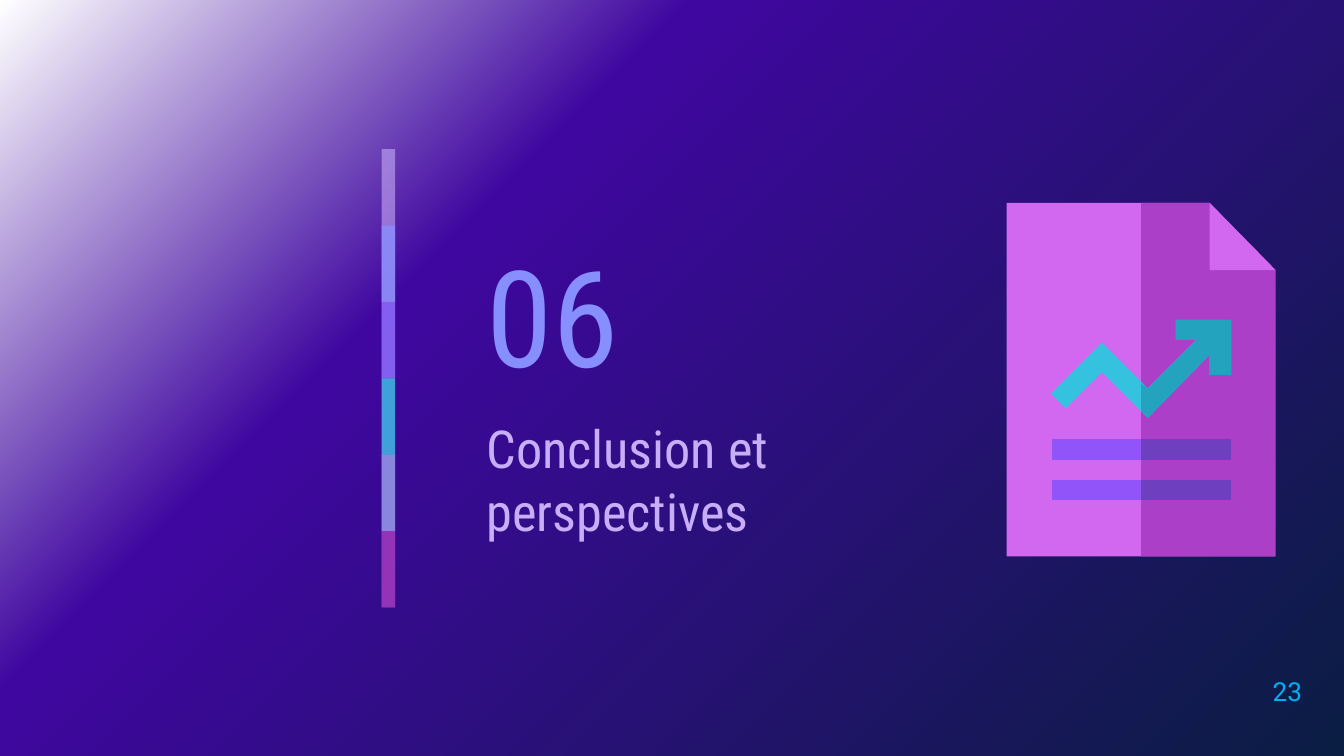
from copy import deepcopy
from typing import NamedTuple

from pptx import Presentation
from pptx.dml.color import RGBColor
from pptx.enum.shapes import MSO_SHAPE
from pptx.enum.text import MSO_ANCHOR, MSO_AUTO_SIZE, PP_ALIGN
from pptx.oxml.ns import qn
from pptx.oxml.xmlchemy import OxmlElement
from pptx.util import Inches, Pt

WHITE = RGBColor(0xFF, 0xFF, 0xFF)
INDIGO = RGBColor(0x3F, 0x07, 0x9F)
NAVY = RGBColor(0x0A, 0x1D, 0x42)
PERIWINKLE = RGBColor(0x87, 0x8F, 0xFF)
LILAC = RGBColor(0xC8, 0xAE, 0xF8)
VIOLET = RGBColor(0x91, 0x54, 0xF8)
DARK_VIOLET = RGBColor(0x6E, 0x3F, 0xBE)
PINK = RGBColor(0xD2, 0x68, 0xEF)
DARK_PINK = RGBColor(0xAB, 0x3F, 0xC8)
TEAL = RGBColor(0x35, 0xC2, 0xDF)
DARK_TEAL = RGBColor(0x24, 0xA3, 0xBE)
ORCHID = RGBColor(0xCA, 0x7B, 0xEB)
PURPLE = RGBColor(0x97, 0x2C, 0xB4)
SKY = RGBColor(0x00, 0xB0, 0xF0)

LEFT, MIDDLE, FOLD, RIGHT = 7.49, 8.49, 9, 9.49
TOP, FOLD_BOTTOM, BOTTOM = 1.51, 2.01, 4.14
LINE_LEFT, LINE_RIGHT, LINE_HEIGHT = 7.83, 9.16, 0.15
LINE_TOPS = (3.27, 3.57)
BAR_LEFT, BAR_TOP, BAR_WIDTH = 2.84, 1.11, 0.1
BAR_STEP = 3.41 / 6


class Polygon(NamedTuple):
    points: list[tuple[float, float]]
    color: RGBColor


class Bar(NamedTuple):
    color: RGBColor
    opacity: int
    steps: int = 2


class Label(NamedTuple):
    text: str
    box: tuple[float, float, float, float]
    font: str
    size: int
    color: RGBColor
    anchor: MSO_ANCHOR = MSO_ANCHOR.TOP


def page(left: float) -> list[tuple[float, float]]:
    return [(left, TOP), (left, BOTTOM), (RIGHT, BOTTOM), (RIGHT, FOLD_BOTTOM), (FOLD, TOP)]


def text_line(left: float, top: float) -> list[tuple[float, float]]:
    bottom = top + LINE_HEIGHT
    return [(left, top), (left, bottom), (LINE_RIGHT, bottom), (LINE_RIGHT, top)]


def arrow(tail: list[tuple[float, float]]) -> list[tuple[float, float]]:
    start = [(8.75, 2.38), (8.75, 2.53), (8.9, 2.53), (8.54, 2.89)]
    end = [(8.54, 3.11), (9, 2.64), (9, 2.79), (9.16, 2.79), (9.16, 2.38)]
    return start + tail + end


POLYGONS = [
    Polygon(page(LEFT), PINK),
    Polygon(page(MIDDLE), DARK_PINK),
    Polygon([(FOLD, TOP), (FOLD, FOLD_BOTTOM), (RIGHT, FOLD_BOTTOM)], PINK),
    Polygon(arrow([(8.2, 2.55), (7.82, 2.93), (7.93, 3.04), (8.2, 2.77)]), TEAL),
    *(Polygon(text_line(LINE_LEFT, top), VIOLET) for top in LINE_TOPS),
    Polygon(arrow([(MIDDLE, 2.85), (MIDDLE, 3.06)]), DARK_TEAL),
    *(Polygon(text_line(MIDDLE, top), DARK_VIOLET) for top in LINE_TOPS),
]

BARS = [
    Bar(LILAC, 59),
    Bar(PERIWINKLE, 74),
    Bar(VIOLET, 53),
    Bar(TEAL, 76),
    Bar(ORCHID, 56),
    Bar(PURPLE, 74, 1),
]

NUMBER = Label("06", (3.52, 1.66, 1.75, 1.35), "Roboto Condensed", 72, PERIWINKLE, MSO_ANCHOR.MIDDLE)
HEADING = Label("Conclusion et perspectives", (3.52, 3, 2.87, 0.96), "Roboto Condensed", 28, LILAC)
PAGE_NUMBER = Label("23", (9.37, 4.98, 0.48, 0.34), "Roboto", 14, SKY)


def paint_background(s) -> None:
    fill = s.background.fill
    fill.gradient()
    fill.gradient_angle = 315
    stops = s.element.find(".//" + qn("a:gsLst"))
    stops.append(deepcopy(stops[0]))
    for stop, (position, color) in zip(fill.gradient_stops, ((0, WHITE), (0.33, INDIGO), (1, NAVY))):
        stop.position = position
        stop.color.rgb = color


def paint(sp, color: RGBColor) -> None:
    sp.shadow.inherit = False
    sp.fill.solid()
    sp.fill.fore_color.rgb = color
    sp.line.fill.background()


def draw_polygon(s, polygon: Polygon) -> None:
    points = [(Inches(x), Inches(y)) for x, y in polygon.points]
    builder = s.shapes.build_freeform(*points[0])
    builder.add_line_segments(points[1:], close=True)
    paint(builder.convert_to_shape(), polygon.color)


def draw_bar(s, index: int, bar: Bar) -> None:
    sp = s.shapes.add_shape(
        MSO_SHAPE.RECTANGLE, Inches(BAR_LEFT), Inches(BAR_TOP + index * BAR_STEP),
        Inches(BAR_WIDTH), Inches(bar.steps * BAR_STEP))
    paint(sp, bar.color)
    alpha = OxmlElement("a:alpha")
    alpha.set("val", str(bar.opacity * 1000))
    sp.element.spPr.find(".//" + qn("a:srgbClr")).append(alpha)


def write_label(sp, label: Label, inset: float = 0.1) -> None:
    sp.left, sp.top, sp.width, sp.height = map(Inches, label.box)
    tf = sp.text_frame
    tf.text = label.text
    tf.word_wrap = True
    tf.auto_size = MSO_AUTO_SIZE.NONE
    tf.vertical_anchor = label.anchor
    tf.margin_left = tf.margin_right = Inches(0.1)
    tf.margin_top = tf.margin_bottom = Inches(inset)
    p = tf.paragraphs[0]
    p.alignment = PP_ALIGN.LEFT
    p.space_before = Pt(0)
    font = p.runs[0].font
    font.name = label.font
    font.size = Pt(label.size)
    font.color.rgb = label.color


def main() -> None:
    prs = Presentation()
    prs.slide_width = Inches(10)
    prs.slide_height = prs.slide_width * 9 // 16
    s = prs.slides.add_slide(prs.slide_layouts[0])
    paint_background(s)
    write_label(s.shapes.title, NUMBER)
    write_label(s.placeholders[1], HEADING)
    for polygon in POLYGONS:
        draw_polygon(s, polygon)
    for index, bar in enumerate(BARS):
        draw_bar(s, index, bar)
    write_label(s.shapes.add_textbox(0, 0, 0, 0), PAGE_NUMBER, 0.05)
    prs.save("out.pptx")


if __name__ == "__main__":
    main()
